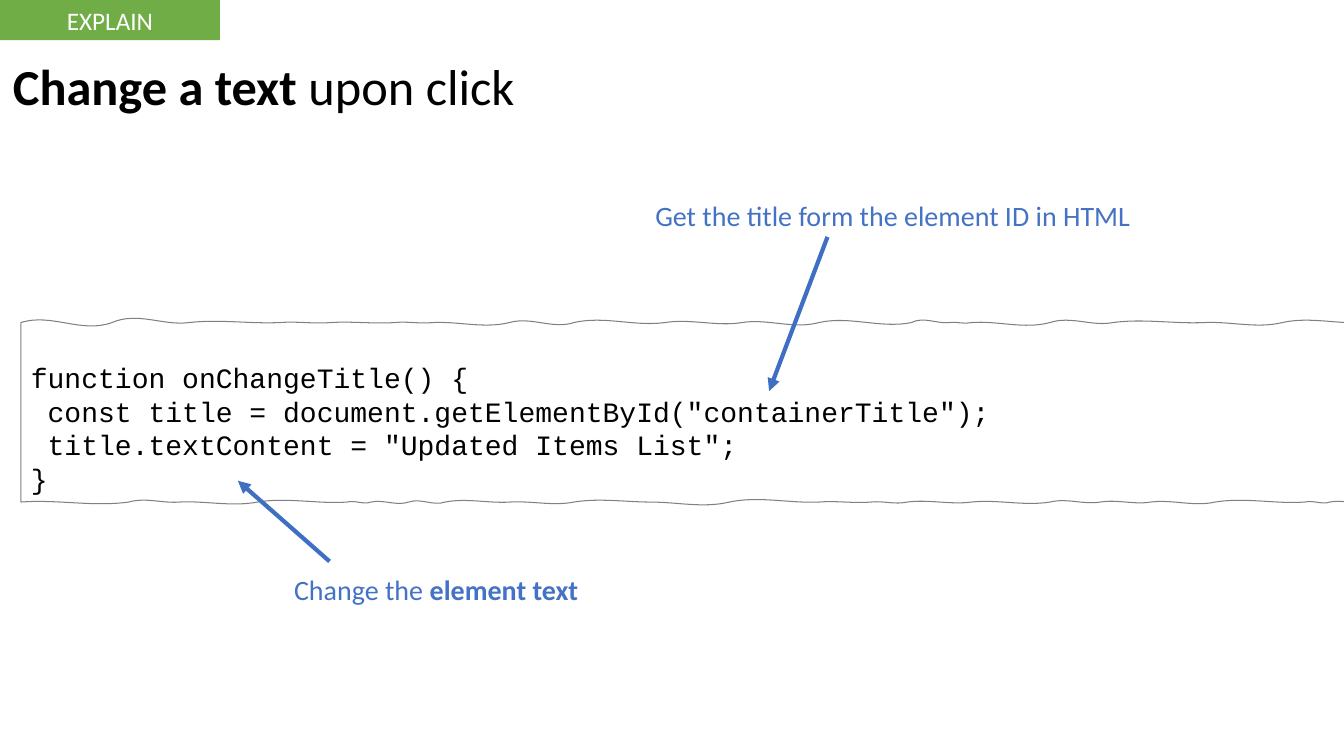
"""Builds a slide that explains changing a text upon click."""
from dataclasses import dataclass

from lxml.etree import SubElement
from pptx import Presentation
from pptx.dml.color import RGBColor as RGB
from pptx.enum.shapes import MSO_CONNECTOR as CONN, MSO_SHAPE as SHAPE
from pptx.enum.text import MSO_ANCHOR as ANCHOR, PP_ALIGN as ALIGN
from pptx.oxml.ns import qn
from pptx.shapes.base import BaseShape
from pptx.slide import Slide
from pptx.util import Pt


@dataclass(frozen=True)
class Theme:
    """Colours, fonts and type sizes of the slide."""
    ink: RGB = RGB(0x00, 0x00, 0x00)
    white: RGB = RGB(0xFF, 0xFF, 0xFF)
    banner: RGB = RGB(0x70, 0xAD, 0x47)
    note: RGB = RGB(0x44, 0x72, 0xC4)
    arrow: RGB = RGB(0x3F, 0x6F, 0xC3)
    outline: RGB = RGB(0x80, 0x80, 0x80)
    body_font: str = "Calibri"
    code_font: str = "Courier New"
    title_size: float = 36
    body_size: float = 20
    banner_size: float = 18


@dataclass(frozen=True)
class Run:
    """A stretch of text in one weight."""
    text: str
    bold: bool = False


@dataclass(frozen=True)
class Label:
    """A text box with its place, size and format."""
    left: float
    top: float
    width: float
    height: float
    runs: tuple[Run, ...]
    size: float
    color: RGB
    wrap: bool = True


@dataclass(frozen=True)
class Arrow:
    """A straight arrow between two points."""
    start: tuple[float, float]
    end: tuple[float, float]


@dataclass(frozen=True)
class Node:
    """A point on a wavy edge, with the vertical pull of the curve there."""
    x: float
    y: float
    pull: float


THEME = Theme()
TITLE = Label(2.16, 36, 553, 51, (Run("Change a text ", True), Run("upon click")),
              THEME.title_size, THEME.ink)
CALLOUTS = (
    (Label(461, 138.2, 357.8, 31.7, (Run("Get the title form the element ID in HTML"),),
           THEME.body_size, THEME.note, wrap=False),
     Arrow((591.1, 169.2), (549.4, 279.4))),
    (Label(203, 405.4, 336.2, 31.7, (Run("Change the "), Run("element text", True)),
           THEME.body_size, THEME.note),
     Arrow((235.4, 401), (169.9, 343.4))),
)
CODE = (
    "function onChangeTitle() {",
    ' const title = document.getElementById("containerTitle");',
    ' title.textContent = "Updated Items List";',
    "}",
)
TOP_EDGE = tuple(Node(x, 230.4, pull) for x, pull in (
    (15, 7), (80, 8), (135, 2.5), (200, 1), (236, 1), (282, 1), (309, 1),
    (364, 4.5), (410, 5), (475, 3), (530, 3), (585, 5), (651, 4.5), (678, 1),
    (694, 1.5), (750, 5), (795, 3), (860, 1), (916, 4.5), (976, 1.5)))
BOTTOM_EDGE = tuple(Node(x, 358.6, pull) for x, pull in (
    (976, -2), (950, -2), (932, -1.5), (868, -3.5), (822, -2), (786, -2),
    (750, -3), (694, -2), (648, -2), (622, -1), (585, -1), (521, -4.5),
    (465, 0), (410, -3), (364, -1), (318, -3), (292, -3), (265, -2),
    (248, -1.5), (184, -3.5), (128, -1), (92, -3.5), (15, -2)))


def write(s: BaseShape, paragraphs: tuple[tuple[Run, ...], ...], *, size: float,
          color: RGB, font: str = THEME.body_font, align: ALIGN = ALIGN.LEFT,
          anchor: ANCHOR = ANCHOR.TOP, wrap: bool = True, inset_top: float = 3.6) -> None:
    """Fill a shape with formatted paragraphs."""
    tf = s.text_frame
    tf.word_wrap = wrap
    tf.vertical_anchor = anchor
    tf.margin_top = Pt(inset_top)
    for i, runs in enumerate(paragraphs):
        p = tf.add_paragraph() if i else tf.paragraphs[0]
        p.alignment = align
        for run in runs:
            r = p.add_run()
            r.text = run.text
            r.font.name = font
            r.font.size = Pt(size)
            r.font.bold = run.bold
            r.font.color.rgb = color


def add_label(slide: Slide, label: Label) -> None:
    """Add one text box."""
    s = slide.shapes.add_textbox(Pt(label.left), Pt(label.top), Pt(label.width), Pt(label.height))
    write(s, (label.runs,), size=label.size, color=label.color, wrap=label.wrap)


def add_banner(slide: Slide) -> None:
    """Add the green section banner."""
    s = slide.shapes.add_shape(SHAPE.RECTANGLE, 0, 0, Pt(157), Pt(28.8))
    s.shadow.inherit = False
    s.fill.solid()
    s.fill.fore_color.rgb = THEME.banner
    s.line.fill.background()
    write(s, ((Run("EXPLAIN"),),), size=THEME.banner_size, color=THEME.white,
          align=ALIGN.CENTER, anchor=ANCHOR.MIDDLE)


def bend(s: BaseShape, nodes: tuple[Node, ...]) -> None:
    """Turn the level segments of an outline into smooth cubic curves."""
    left, top = nodes[0].x, nodes[0].y
    segments = list(s._element.iter(qn("a:lnTo")))
    for a, b, segment in zip(nodes, nodes[1:], segments):
        if a.y != b.y:
            continue
        third = (b.x - a.x) / 3
        segment.tag = qn("a:cubicBezTo")
        segment.clear()
        for x, y in ((a.x + third, a.y - a.pull), (b.x - third, b.y + b.pull), (b.x, b.y)):
            SubElement(segment, qn("a:pt"), x=str(Pt(x - left)), y=str(Pt(y - top)))


def add_code(slide: Slide) -> None:
    """Add the code block with its hand-drawn outline."""
    nodes = TOP_EDGE + BOTTOM_EDGE
    first, *rest = [(Pt(node.x), Pt(node.y)) for node in nodes]
    builder = slide.shapes.build_freeform(*first, scale=1.0)
    builder.add_line_segments(rest, close=True)
    s = builder.convert_to_shape()
    bend(s, nodes)
    s.shadow.inherit = False
    s.fill.background()
    s.line.color.rgb = THEME.outline
    s.line.width = Pt(0.75)
    write(s, tuple((Run(line),) for line in CODE), size=THEME.body_size,
          color=THEME.ink, font=THEME.code_font, inset_top=27)


def add_arrow(slide: Slide, arrow: Arrow) -> None:
    """Add one straight arrow."""
    s = slide.shapes.add_connector(CONN.STRAIGHT, *map(Pt, arrow.start + arrow.end))
    s.line.color.rgb = THEME.arrow
    s.line.width = Pt(3)
    SubElement(s.line._get_or_add_ln(), qn("a:tailEnd"), type="triangle")
    SubElement(s._element.spPr, qn("a:effectLst"))


def main() -> None:
    """Build the slide and save it."""
    prs = Presentation()
    prs.slide_width, prs.slide_height = Pt(960), Pt(540)
    slide = prs.slides.add_slide(prs.slide_layouts[6])
    add_label(slide, TITLE)
    add_banner(slide)
    add_code(slide)
    for label, arrow in CALLOUTS:
        add_label(slide, label)
        add_arrow(slide, arrow)
    prs.save("out.pptx")


if __name__ == "__main__":
    main()
